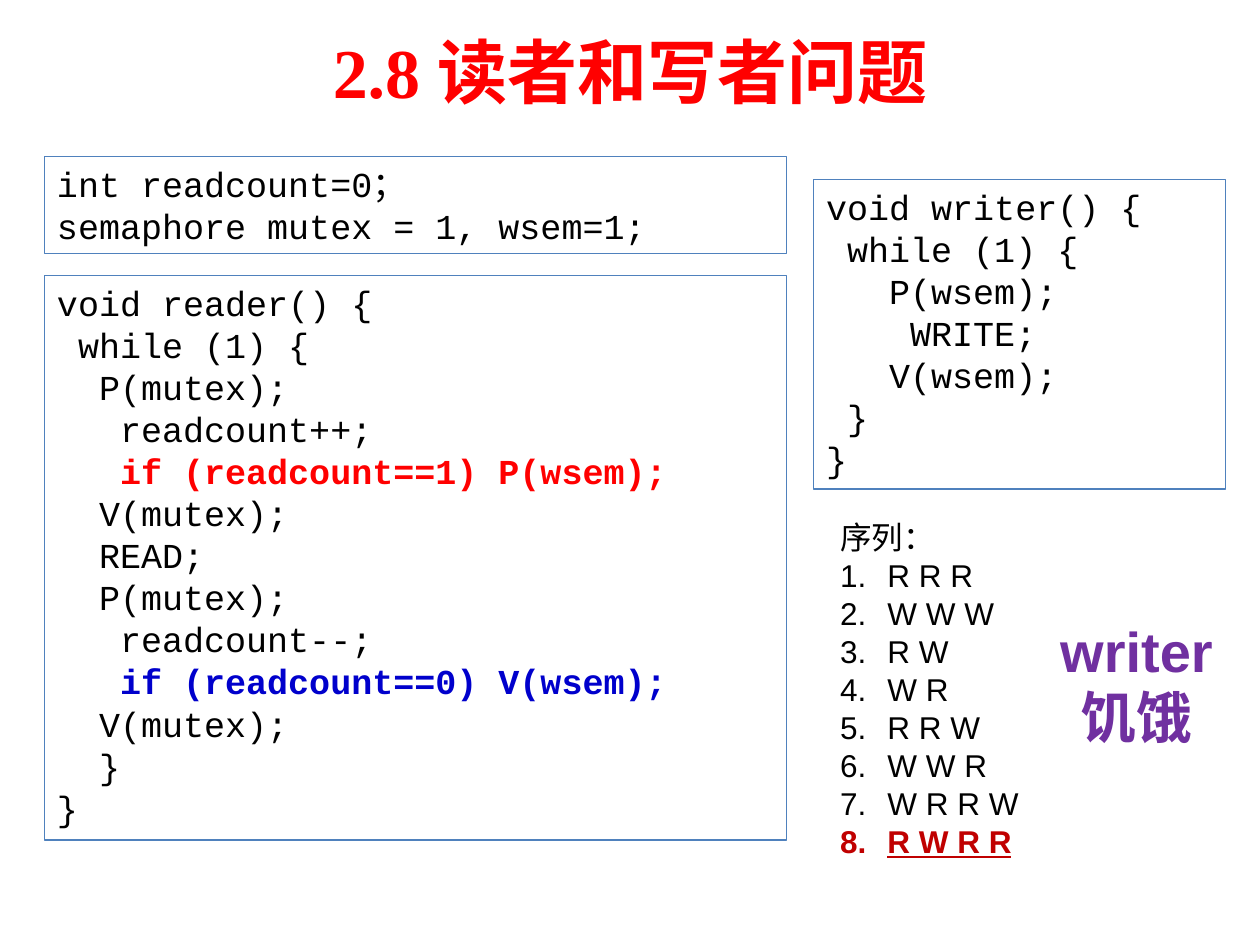
from dataclasses import dataclass

from lxml import etree
from pptx import Presentation
from pptx.dml.color import RGBColor
from pptx.enum.shapes import MSO_SHAPE
from pptx.enum.text import MSO_ANCHOR, PP_ALIGN
from pptx.oxml.ns import qn
from pptx.util import Pt

RECTANGLE = MSO_SHAPE.RECTANGLE
TOP, MIDDLE = MSO_ANCHOR.TOP, MSO_ANCHOR.MIDDLE
LEFT, CENTER = PP_ALIGN.LEFT, PP_ALIGN.CENTER
BLANK_LAYOUT = 6


@dataclass(frozen=True)
class Theme:
    ink: str = "000000"
    red: str = "FF0000"
    blue: str = "0000CC"
    dark_red: str = "C00000"
    purple: str = "7030A0"
    border: str = "4F81BD"
    serif: str = "Times New Roman"
    sans: str = "Arial"
    mono: str = "Courier New"
    title_size: float = 40
    callout_size: float = 32
    code_size: float = 20
    list_size: float = 18
    callout_leading: float = 38
    code_leading: float = 24
    list_leading: float = 21.7
    list_indent: float = 27


DECLARATIONS = """int readcount=0；
semaphore mutex = 1, wsem=1;"""

READER = """void reader() {
 while (1) {
  P(mutex);
   readcount++;
   if (readcount==1) P(wsem);
  V(mutex);
  READ;
  P(mutex);
   readcount--;
   if (readcount==0) V(wsem);
  V(mutex);
  }
}"""

WRITER = """void writer() {
 while (1) {
   P(wsem);
    WRITE;
   V(wsem);
 }
}"""

SEQUENCES = ["R R R", "W W W", "R W", "W R", "R R W", "W W R", "W R R W"]
STARVING_SEQUENCE = "R W R R"


def add_text(para, text, *, font, size, color, bold=False, underline=False):
    span = para.add_run()
    span.text = text
    span.font.name = font
    span.font.size = Pt(size)
    span.font.color.rgb = RGBColor.from_string(color)
    span.font.bold = bold
    span.font.underline = underline


def number_paragraph(para, indent):
    """Turn a paragraph into an automatically numbered item."""
    properties = para._p.get_or_add_pPr()
    properties.set("marL", str(Pt(indent)))
    properties.set("indent", str(-Pt(indent)))
    etree.SubElement(properties, qn("a:buFont"), typeface="+mj-lt")
    etree.SubElement(properties, qn("a:buAutoNum"), type="arabicPeriod")


class SlideBuilder:
    def __init__(self, slide, theme):
        self.slide = slide
        self.theme = theme

    def text_box(self, left, top, width, height, wrap=True, anchor=TOP):
        box = self.slide.shapes.add_textbox(Pt(left), Pt(top), Pt(width), Pt(height))
        box.text_frame.word_wrap = wrap
        box.text_frame.vertical_anchor = anchor
        return box.text_frame

    def paragraphs(self, frame, count, align=LEFT, leading=None):
        """Yield the given number of paragraphs, the frame's first one included."""
        for index in range(count):
            para = frame.add_paragraph() if index else frame.paragraphs[0]
            para.alignment = align
            if leading:
                para.line_spacing = Pt(leading)
            yield para

    def title(self, text, left, top, width, height):
        frame = self.text_box(left, top, width, height, anchor=MIDDLE)
        for para in self.paragraphs(frame, 1, CENTER):
            add_text(para, text, font=self.theme.serif, size=self.theme.title_size,
                     color=self.theme.red, bold=True)

    def code(self, source, left, top, width, height, highlights=None):
        """Draw a framed listing; highlights maps a statement to its colour."""
        theme, highlights = self.theme, highlights or {}
        box = self.slide.shapes.add_shape(RECTANGLE, Pt(left), Pt(top), Pt(width), Pt(height))
        box.shadow.inherit = False
        box.fill.background()
        box.line.color.rgb = RGBColor.from_string(theme.border)
        box.line.width = Pt(0.75)
        box.text_frame.word_wrap = True
        box.text_frame.vertical_anchor = TOP
        lines = source.splitlines()
        paras = self.paragraphs(box.text_frame, len(lines), leading=theme.code_leading)
        for para, line in zip(paras, lines):
            color = highlights.get(line.strip())
            add_text(para, line, font=theme.mono, size=theme.code_size,
                     color=color or theme.ink, bold=color is not None)

    def numbered_list(self, heading, items, last_item, left, top, width, height):
        """Draw a heading and numbered items, the last one emphasised."""
        theme = self.theme
        texts = [heading, *items, last_item]
        frame = self.text_box(left, top, width, height)
        paras = self.paragraphs(frame, len(texts), leading=theme.list_leading)
        for index, (para, text) in enumerate(zip(paras, texts)):
            if index:
                number_paragraph(para, theme.list_indent)
            is_last = index == len(texts) - 1
            add_text(para, text, font=theme.sans, size=theme.list_size,
                     color=theme.dark_red if is_last else theme.ink,
                     bold=is_last, underline=is_last)

    def callout(self, lines, left, top, width, height):
        theme = self.theme
        frame = self.text_box(left, top, width, height, wrap=False)
        paras = self.paragraphs(frame, len(lines), CENTER, theme.callout_leading)
        for para, line in zip(paras, lines):
            add_text(para, line, font=theme.sans, size=theme.callout_size,
                     color=theme.purple, bold=True)


def main():
    deck = Presentation()
    deck.slide_width, deck.slide_height = Pt(720), Pt(540)
    theme = Theme()
    page = SlideBuilder(deck.slides.add_slide(deck.slide_layouts[BLANK_LAYOUT]), theme)

    page.code(READER, 25.5, 157.5, 424, 322.5, {
        "if (readcount==1) P(wsem);": theme.red,
        "if (readcount==0) V(wsem);": theme.blue,
    })
    page.title("2.8 读者和写者问题", 36, 3.6, 648, 73.4)
    page.code(WRITER, 465, 102.5, 235.5, 177)
    page.code(DECLARATIONS, 25.5, 89.5, 424, 55.5)
    page.numbered_list("序列：", SEQUENCES, STARVING_SEQUENCE, 473, 292.5, 212.5, 204)
    page.callout(["writer", "饥饿"], 598.5, 349, 102, 85)

    deck.save("out.pptx")


if __name__ == "__main__":
    main()
